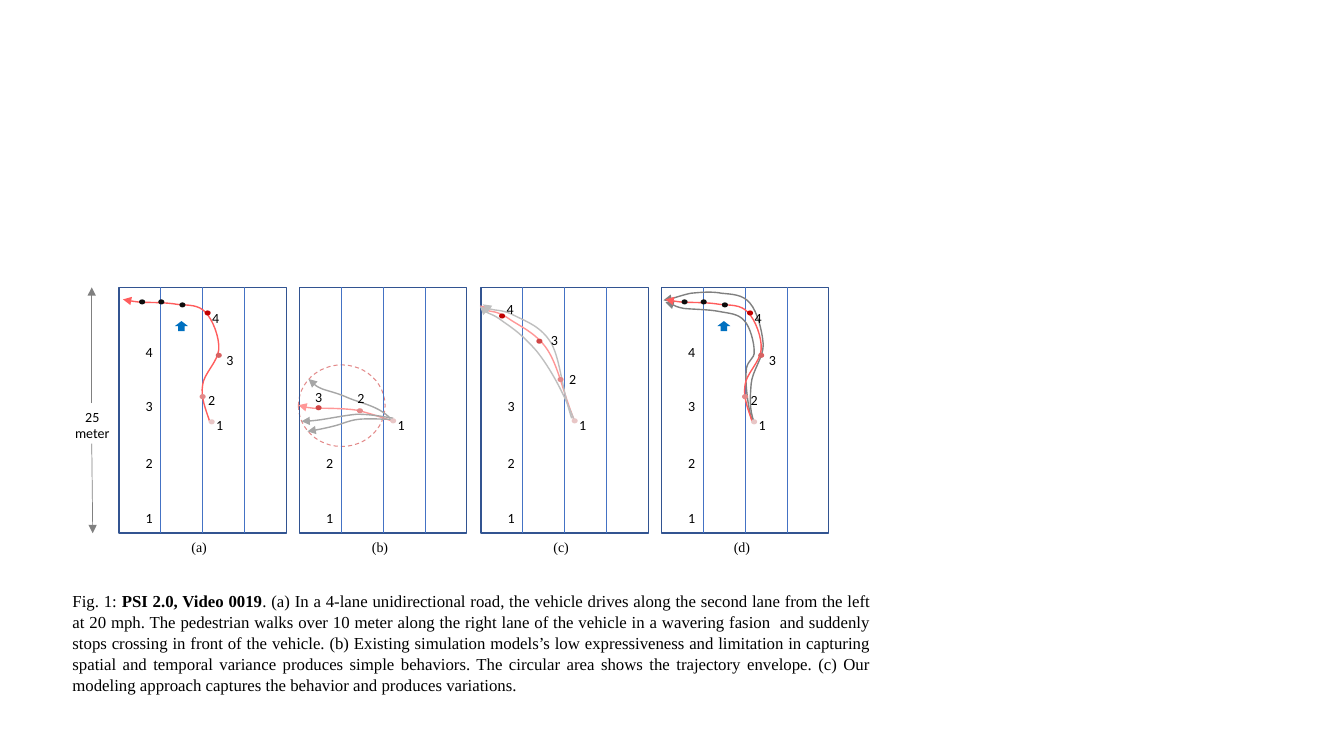
from lxml.etree import SubElement as Sub
from pptx import Presentation as Deck
from pptx.dml.color import RGBColor as RGB
from pptx.enum.dml import MSO_LINE as Dash
from pptx.enum.shapes import MSO_CONNECTOR as Wire, MSO_SHAPE as Kind
from pptx.enum.text import PP_ALIGN as Align
from pptx.oxml.ns import qn
from pptx.util import Inches, Pt

BLACK = RGB(0, 0, 0)
WHITE = RGB(0xFF, 0xFF, 0xFF)
NAVY = RGB(0x32, 0x54, 0x91)
BLUE = RGB(0x44, 0x72, 0xC4)
SKY = RGB(0x00, 0x70, 0xC0)
INK = RGB(0x0D, 0x0D, 0x0D)
GRAY = RGB(0x80, 0x80, 0x80)
ASH = RGB(0xA6, 0xA6, 0xA6)
SILVER = RGB(0xBF, 0xBF, 0xBF)
RED = RGB(0xFF, 0x5D, 0x5D)
PINK = RGB(0xFF, 0x97, 0x97)
# Dot shades, from the first step of the walk to the last
PALE = RGB(0xE8, 0xC6, 0xC6)
ROSE = RGB(0xE3, 0x89, 0x89)
CORAL = RGB(0xD8, 0x62, 0x62)
BRICK = RGB(0xD1, 0x47, 0x47)
DARK = RGB(0xC0, 0x00, 0x00)

SANS, SERIF = "Calibri", "Times New Roman"
LEFTS = (1.18, 2.97, 4.77, 6.56)
TOP, WIDE, HIGH = 2.85, 1.66, 2.44
MARKS = (5.01, 4.46, 3.89, 3.36)  # heights of the scale numbers 1 to 4

CAPTION = (
    ("Fig. 1: ", False),
    ("PSI 2.0, Video 0019", True),
    (". (a) In a 4-lane unidirectional road, the vehicle drives along the second lane "
     "from the left at 20 mph. The pedestrian walks over 10 meter along the right lane "
     "of the vehicle in a wavering fasion  and suddenly stops crossing in front of the "
     "vehicle. (b) Existing simulation models’s low expressiveness and limitation in "
     "capturing spatial and temporal variance produces simple behaviors. The circular "
     "area shows the trajectory envelope. (c) Our modeling approach captures the "
     "behavior and produces variations.", False),
)

# Curves: a start point, then three points for each bend
WALK = [(2.08, 4.18), (2.04, 4.06), (1.99, 3.94), (2.01, 3.82), (2.02, 3.71), (2.16, 3.59),
        (2.17, 3.47), (2.18, 3.35), (2.11, 3.17), (2.04, 3.1), (1.97, 3.02), (1.87, 3.03),
        (1.76, 3.02), (1.65, 3), (1.5, 3), (1.41, 3), (1.32, 2.99), (1.26, 2.98), (1.22, 2.97)]
OUTER = [(7.48, 4.19), (7.43, 4.06), (7.44, 3.94), (7.45, 3.81), (7.46, 3.68), (7.57, 3.55),
         (7.57, 3.42), (7.56, 3.28), (7.51, 3.09), (7.44, 3.01), (7.37, 2.92), (7.26, 2.92),
         (7.16, 2.91), (7.06, 2.89), (6.95, 2.9), (6.85, 2.91), (6.76, 2.93), (6.62, 2.98),
         (6.58, 2.98)]
INNER = [(7.46, 4.17), (7.42, 4.06), (7.39, 3.8), (7.4, 3.69), (7.4, 3.57), (7.49, 3.57),
         (7.48, 3.48), (7.48, 3.4), (7.44, 3.24), (7.38, 3.18), (7.32, 3.11), (7.23, 3.11),
         (7.13, 3.09), (7.03, 3.07), (6.87, 3.07), (6.78, 3.06), (6.69, 3.04), (6.64, 3),
         (6.6, 3)]
SIMPLE = (
    (PINK, [(3.9, 4.18), (3.78, 4.14), (3.67, 4.1), (3.54, 4.07), (3.41, 4.05), (3.21, 4.05),
            (3.11, 4.05), (3.02, 4.04), (2.99, 4.03), (2.96, 4.02)]),
    (ASH, [(3.9, 4.15), (3.78, 4.13), (3.67, 4.11), (3.54, 4.11), (3.42, 4.12), (3.23, 4.16),
           (3.14, 4.17), (3.04, 4.18), (3.02, 4.18), (2.99, 4.18)]),
    (ASH, [(3.89, 4.16), (3.78, 4.16), (3.66, 4.15), (3.56, 4.16), (3.46, 4.17), (3.39, 4.21),
           (3.3, 4.23), (3.22, 4.25), (3.07, 4.28), (3.05, 4.28)]),
    (ASH, [(3.87, 4.15), (3.76, 4.03), (3.58, 4), (3.46, 3.95), (3.35, 3.9), (3.29, 3.89),
           (3.2, 3.86), (3.13, 3.83), (3.09, 3.79), (3.06, 3.76)]),
)
VARIED = (
    (PINK, [(5.7, 4.18), (5.58, 3.88), (5.54, 3.64), (5.43, 3.47), (5.32, 3.3), (5.14, 3.23),
            (5.03, 3.15), (4.92, 3.08), (4.79, 3.1), (4.76, 3.03)]),
    (SILVER, [(5.7, 4.18), (5.59, 3.89), (5.45, 3.64), (5.32, 3.48), (5.18, 3.32),
              (5.09, 3.26), (4.99, 3.19), (4.9, 3.12), (4.79, 3.1), (4.76, 3.04)]),
    (SILVER, [(5.67, 4.15), (5.57, 3.85), (5.56, 3.58), (5.47, 3.41), (5.37, 3.24),
              (5.22, 3.19), (5.1, 3.13), (4.99, 3.07), (4.82, 3.09), (4.79, 3.02)]),
)


def add_shape(slide, kind, x, y, w, h, fill=None, line=None, width=1):
    shape = slide.shapes.add_shape(kind, Inches(x), Inches(y), Inches(w), Inches(h))
    shape.shadow.inherit = False
    if fill is None:
        shape.fill.background()
    else:
        shape.fill.solid()
        shape.fill.fore_color.rgb = fill
    if line is None:
        shape.line.fill.background()
    else:
        shape.line.color.rgb = line
        shape.line.width = Pt(width)
    return shape


def add_head(shape):
    Sub(shape.element.spPr.find(qn("a:ln")), qn("a:tailEnd"), type="triangle")


def add_line(slide, x1, y1, x2, y2, color):
    line = slide.shapes.add_connector(
        Wire.STRAIGHT, Inches(x1), Inches(y1), Inches(x2), Inches(y2))
    line.line.color.rgb = color
    line.line.width = Pt(0.5)
    Sub(line.element.spPr, qn("a:effectLst"))
    return line


def add_curve(slide, points, color, dx=0):
    spots = [(Inches(x + dx), Inches(y)) for x, y in points]
    form = slide.shapes.build_freeform(*spots[0])
    form.add_line_segments(spots[1:], close=False)
    curve = form.convert_to_shape()
    curve.shadow.inherit = False
    curve.fill.background()
    curve.line.color.rgb = color
    curve.line.width = Pt(1)
    add_head(curve)
    # Join each three straight steps into one bend
    steps = list(curve.element.iter(qn("a:lnTo")))
    for i in range(0, len(steps), 3):
        bend = Sub(steps[i].getparent(), qn("a:cubicBezTo"))
        for step in steps[i:i + 3]:
            bend.append(step[0])
            step.getparent().remove(step)


def add_text(slide, x, y, w, h, lines, size=10, font=SANS, align=Align.CENTER, inset=0):
    """Each line is a list of (text, bold) runs."""
    box = slide.shapes.add_textbox(Inches(x), Inches(y), Inches(w), Inches(h))
    frame = box.text_frame
    frame.word_wrap = align == Align.JUSTIFY
    frame.margin_left = frame.margin_right = Inches(inset)
    for i, runs in enumerate(lines):
        para = frame.add_paragraph() if i else frame.paragraphs[0]
        para.alignment = align
        for text, bold in runs:
            run = para.add_run()
            run.text = text
            run.font.size, run.font.name, run.font.bold = Pt(size), font, bold
            run.font.color.rgb = BLACK
    return frame


def add_digit(slide, x, y, digit):
    add_text(slide, x, y, 0.14, 0.18, [[(str(digit), False)]])


def add_dots(slide, dots, dx=0):
    for x, y, color in dots:
        add_shape(slide, Kind.OVAL, x + dx, y, 0.06, 0.05, color)


def add_road(slide, left, name, count, fill=None):
    road = add_shape(slide, Kind.RECTANGLE, left, TOP, WIDE, HIGH, fill, NAVY)
    for i in (1, 2, 3):
        x = left + WIDE * i / 4
        lane = add_line(slide, x, TOP, x, TOP + HIGH, BLUE)
        if i == 2:
            lane.begin_connect(road, 0)
            lane.end_connect(road, 2)
    for i, y in enumerate(MARKS[:count]):
        add_digit(slide, left + 0.23, y, i + 1)
    add_text(slide, left + 0.62, TOP + HIGH, 0.4, 0.18, [[(f"({name})", False)]],
             font=SERIF, align=Align.LEFT, inset=0.1)


def add_walk(slide, dx=0):
    add_curve(slide, WALK, RED, dx)
    add_dots(slide, ((1.98, 3.91, ROSE), (2.07, 4.16, PALE), (2.14, 3.5, CORAL),
                     (2.03, 3.08, DARK), (1.78, 3, INK), (1.38, 2.97, INK),
                     (1.57, 2.97, INK)), dx)
    car = add_shape(slide, Kind.RIGHT_ARROW, 1.75 + dx, 3.17, 0.1, 0.13, SKY)
    car.rotation = 270
    for i, (x, y) in enumerate(((2.11, 4.08), (2.03, 3.83), (2.21, 3.44), (2.07, 3.02))):
        add_digit(slide, x + dx, y, i + 1)


def main():
    deck = Deck()
    deck.slide_width, deck.slide_height = Inches(13.33), Inches(7.5)
    slide = deck.slides.add_slide(deck.slide_layouts[6])

    # Caption
    frame = add_text(slide, 0.62, 5.8, 8.12, 1.11, [CAPTION], 12, SERIF, Align.JUSTIFY, 0.1)
    frame.paragraphs[0].line_spacing = 1.05

    # Length scale
    for x, start, end in ((0.92, 4.4, TOP + HIGH), (0.91, 4, TOP)):
        add_head(add_line(slide, 0.91, start, x, end, GRAY))
    add_text(slide, 0.52, 4, 0.79, 0.3, [[("25", False)], [("meter", False)]])

    # (a) Observed walk
    add_road(slide, LEFTS[0], "a", 4, WHITE)
    add_walk(slide)

    # (b) Simple models inside their envelope
    ring = add_shape(slide, Kind.OVAL, 2.96, 3.62, 0.86, 0.81, line=ROSE, width=0.75)
    ring.line.dash_style = Dash.DASH
    add_road(slide, LEFTS[1], "b", 2)
    for color, points in SIMPLE:
        add_curve(slide, points, color)
    add_dots(slide, ((3.87, 4.15, PALE), (3.54, 4.05, ROSE), (3.13, 4.02, BRICK)))
    for i, (x, y) in enumerate(((3.91, 4.08), (3.51, 3.81), (3.09, 3.8))):
        add_digit(slide, x, y, i + 1)

    # (c) Varied walks
    add_road(slide, LEFTS[2], "c", 3)
    for color, points in VARIED:
        add_curve(slide, points, color)
    add_dots(slide, ((5.67, 4.15, PALE), (5.53, 3.74, ROSE), (5.32, 3.36, BRICK),
                     (4.95, 3.11, DARK)))
    for i, (x, y) in enumerate(((5.71, 4.08), (5.61, 3.63), (5.43, 3.24), (4.99, 2.93))):
        add_digit(slide, x, y, i + 1)

    # (d) Observed walk with variations
    add_road(slide, LEFTS[3], "d", 4, WHITE)
    for points in (OUTER, INNER):
        add_curve(slide, points, GRAY)
    add_walk(slide, LEFTS[3] - LEFTS[0])

    deck.save("out.pptx")


if __name__ == "__main__":
    main()
